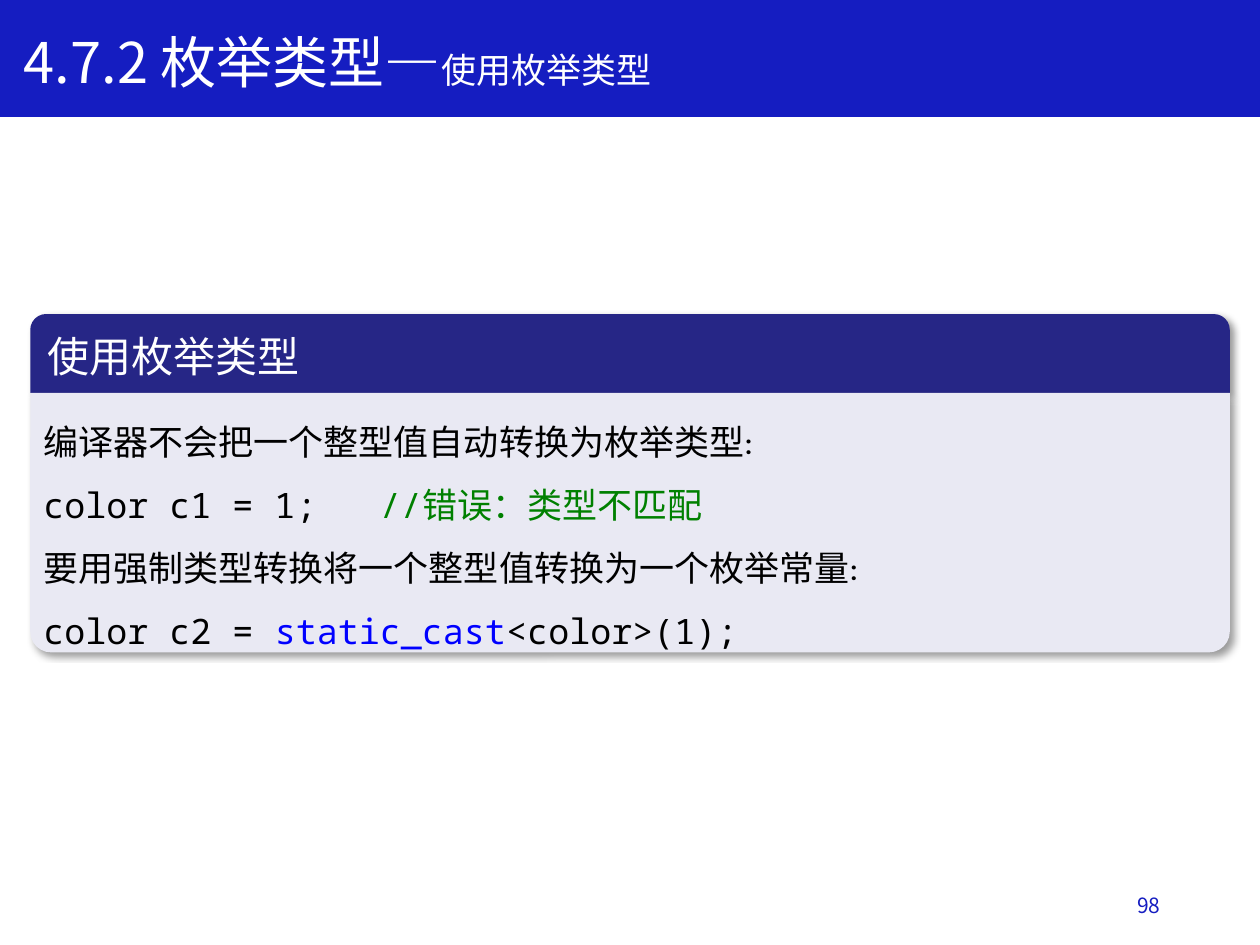
from lxml import etree
from pptx import Presentation
from pptx.dml.color import RGBColor
from pptx.enum.shapes import MSO_SHAPE
from pptx.enum.text import MSO_ANCHOR, PP_ALIGN
from pptx.oxml import parse_xml
from pptx.oxml.ns import nsdecls, qn
from pptx.util import Pt

RECTANGLE = MSO_SHAPE.RECTANGLE
ROUND_PAIR = MSO_SHAPE.ROUND_2_SAME_RECTANGLE
TOP, MIDDLE = MSO_ANCHOR.TOP, MSO_ANCHOR.MIDDLE
LEFT, RIGHT = PP_ALIGN.LEFT, PP_ALIGN.RIGHT

BLUE = RGBColor(0x15, 0x1D, 0xC1)
NAVY = RGBColor(0x26, 0x26, 0x86)
PALE = RGBColor(0xE9, 0xE9, 0xF3)
WHITE = RGBColor(0xFF, 0xFF, 0xFF)
BLACK = RGBColor(0x00, 0x00, 0x00)
GREEN = RGBColor(0x00, 0x80, 0x00)
KEYWORD = RGBColor(0x00, 0x00, 0xFF)

SANS, MONO, LATIN = "Noto Sans CJK SC", "Noto Sans Mono", "Karla"
PANEL_LEFT, PANEL_WIDTH = 17.28, 685.44
HEAD_TOP, HEAD_HEIGHT, BODY_HEIGHT = 179.5, 45, 148.3


def style_font(font, size, color, name):
    """Set the font for both Latin and East Asian text."""
    font.size, font.name = Pt(size), name
    font.color.rgb = color
    east_asian = etree.Element(qn("a:ea"), typeface=name)
    font._element.find(qn("a:latin")).addnext(east_asian)


class SlideBuilder:
    def __init__(self, page):
        self.page = page

    def panel(self, kind, left, top, width, height, fill):
        shape = self.page.shapes.add_shape(
            kind, Pt(left), Pt(top), Pt(width), Pt(height))
        shape.shadow.inherit = False
        shape.fill.solid()
        shape.fill.fore_color.rgb = fill
        shape.line.fill.background()
        return shape

    def rounded_panel(self, top, height, fill, corners):
        """Add a shadowed panel; corners are the top and bottom radii ratios."""
        shape = self.panel(ROUND_PAIR, PANEL_LEFT, top, PANEL_WIDTH, height, fill)
        for index, ratio in enumerate(corners):
            shape.adjustments[index] = ratio
        effects = shape._element.spPr.find(qn("a:effectLst"))
        effects.append(parse_xml(
            f'<a:outerShdw {nsdecls("a")} blurRad="{Pt(4)}" dist="{Pt(3)}" '
            'dir="2700000" algn="tl" rotWithShape="0"><a:srgbClr val="000000">'
            '<a:alpha val="40000"/></a:srgbClr></a:outerShdw>'))
        return shape

    def text_box(self, left, top, width, height):
        return self.page.shapes.add_textbox(
            Pt(left), Pt(top), Pt(width), Pt(height))

    def set_text(self, shape, lines, anchor=TOP, align=LEFT, spacing=None):
        """Fill a shape with lines of (text, size, color, font) spans."""
        frame = shape.text_frame
        frame.word_wrap = True
        frame.vertical_anchor = anchor
        for index, spans in enumerate(lines):
            para = frame.paragraphs[0] if index == 0 else frame.add_paragraph()
            para.alignment = align
            if spacing:
                para.line_spacing = spacing
            if len(spans) == 1:
                text, *style = spans[0]
                para.add_run().text = text
                style_font(para.font, *style)
                continue
            for text, *style in spans:
                span = para.add_run()
                span.text = text
                style_font(span.font, *style)


def main():
    deck = Presentation()
    deck.slide_width, deck.slide_height = Pt(720), Pt(540)
    builder = SlideBuilder(deck.slides.add_slide(deck.slide_layouts[6]))

    banner = builder.panel(RECTANGLE, 0, 0, 720, 66.24, BLUE)
    banner.line.color.rgb = BLUE
    banner.line.width = Pt(1)
    builder.set_text(builder.text_box(508.32, 502.56, 162, 28.8),
                     [[("98", 12, BLUE, SANS)]], MIDDLE, RIGHT)
    builder.set_text(builder.text_box(6.48, 12.24, 630, 46.08),
                     [[("4.7.2 枚举类型—", 32, WHITE, SANS),
                       ("使用枚举类型", 20, WHITE, SANS)]])

    heading = builder.rounded_panel(HEAD_TOP, HEAD_HEIGHT, NAVY, (0.2, 0))
    builder.set_text(heading, [[("使用枚举类型", 24, WHITE, MONO)]], MIDDLE)

    body = builder.rounded_panel(
        HEAD_TOP + HEAD_HEIGHT, BODY_HEIGHT, PALE, (0, 0.08))
    body.text_frame.margin_left = Pt(4)
    builder.set_text(body, [
        [("编译器不会把一个整型值自动转换为枚举类型", 20, BLACK, SANS),
         (":", 20, BLACK, LATIN)],
        [("color c1 = 1;   ", 20, BLACK, MONO), ("//", 20, GREEN, MONO),
         ("错误：类型不匹配", 20, GREEN, SANS)],
        [("要用强制类型转换将一个整型值转换为一个枚举常量", 20, BLACK, SANS),
         (":", 20, BLACK, LATIN)],
        [("color c2 = ", 20, BLACK, MONO),
         ("static_cast", 20, KEYWORD, MONO),
         ("<color>(1);", 20, BLACK, MONO)],
    ], spacing=1.5)

    deck.save("out.pptx")


if __name__ == "__main__":
    main()
